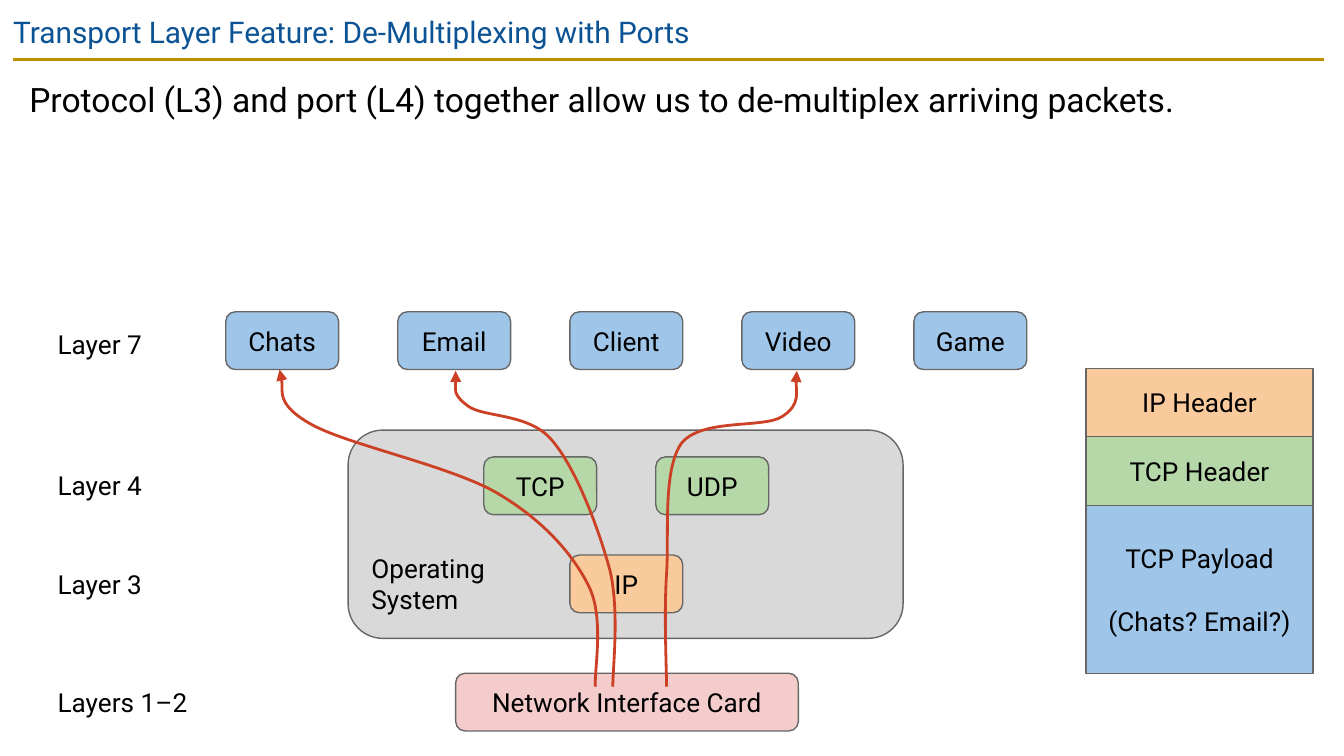
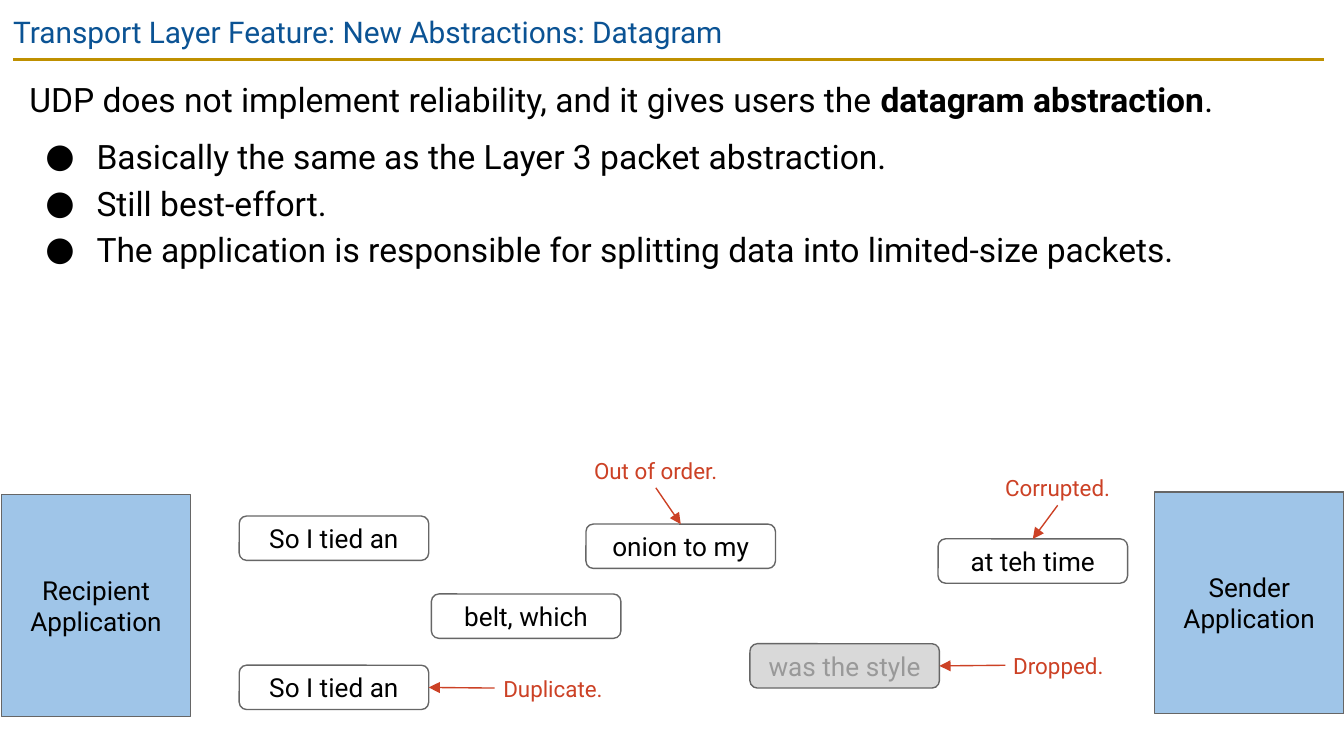
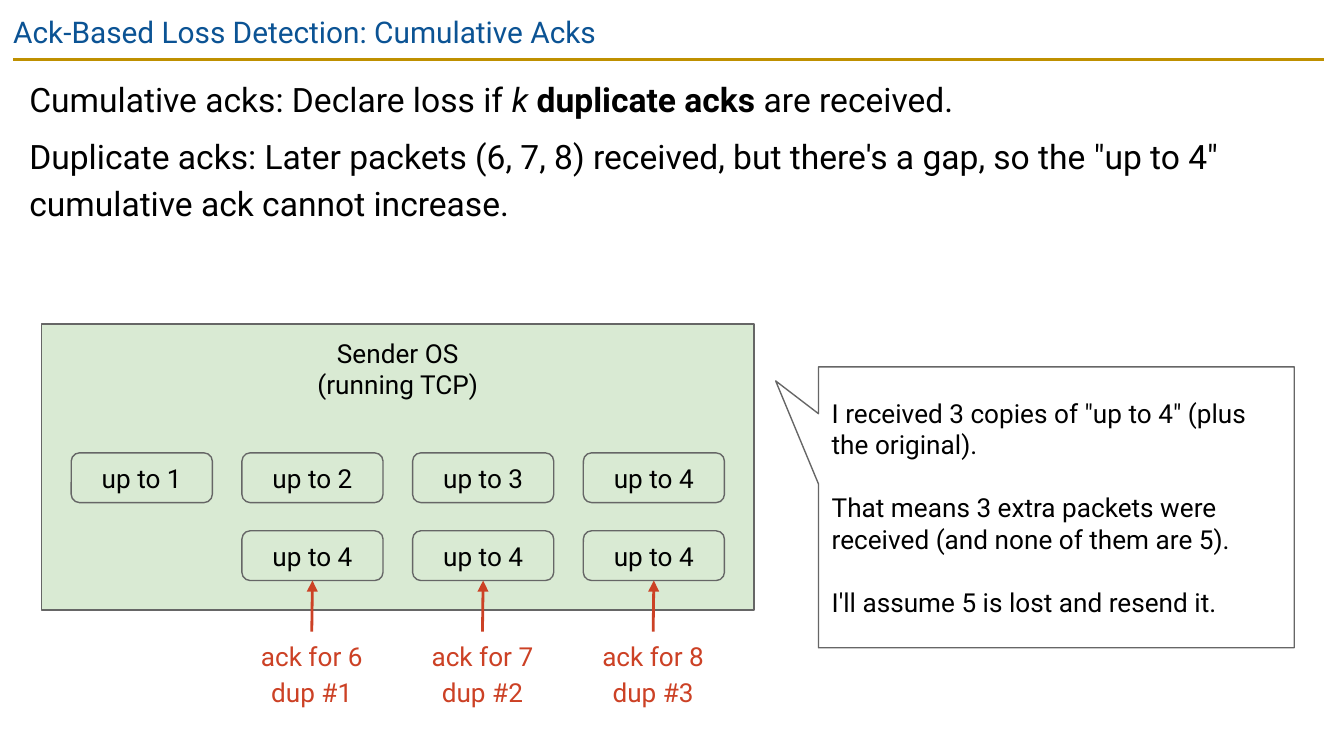
import pptx
import pptx.dml.color
import pptx.enum.shapes
import pptx.enum.text
import pptx.oxml.ns
import pptx.util
from lxml import etree

Inches = pptx.util.Inches
Pt = pptx.util.Pt
RGBColor = pptx.dml.color.RGBColor
SHAPE = pptx.enum.shapes.MSO_SHAPE
STRAIGHT = pptx.enum.shapes.MSO_CONNECTOR.STRAIGHT
ALIGN = pptx.enum.text.PP_ALIGN
ANCHOR = pptx.enum.text.MSO_ANCHOR
qn = pptx.oxml.ns.qn

FONT = "Roboto"
BLACK = RGBColor(0x00, 0x00, 0x00)
TITLE_BLUE = RGBColor(0x0B, 0x53, 0x94)
GOLD = RGBColor(0xBF, 0x90, 0x00)
RED = RGBColor(0xCC, 0x41, 0x25)
OUTLINE = RGBColor(0x66, 0x66, 0x66)
GRAY = RGBColor(0xD9, 0xD9, 0xD9)
FADED = RGBColor(0x99, 0x99, 0x99)
BLUE = RGBColor(0x9F, 0xC5, 0xE8)
GREEN = RGBColor(0xB6, 0xD7, 0xA8)
PALE_GREEN = RGBColor(0xD9, 0xEA, 0xD3)
ORANGE = RGBColor(0xF9, 0xCB, 0x9C)
PINK = RGBColor(0xF4, 0xCC, 0xCC)
TOP, LEFT, BOTTOM, RIGHT = range(4)


def add_box(slide, preset, box, text, fill=None, size=14, color=BLACK,
            align=ALIGN.CENTER, anchor=ANCHOR.MIDDLE, inset=0.1):
    """Add a preset shape with text, or a plain text box if preset is None."""
    place = [Inches(length) for length in box]
    if preset is None:
        shape = slide.shapes.add_textbox(*place)
    else:
        shape = slide.shapes.add_shape(preset, *place)
        shape.shadow.inherit = False
        shape.line.color.rgb = OUTLINE
        shape.line.width = Pt(0.75)
        if fill is None:
            shape.fill.background()
        else:
            shape.fill.solid()
            shape.fill.fore_color.rgb = fill
    frame = shape.text_frame
    frame.word_wrap = True
    frame.vertical_anchor = anchor
    frame.margin_left = frame.margin_right = Inches(inset)
    frame.margin_top = frame.margin_bottom = Inches(inset)
    frame.text = text
    for paragraph in frame.paragraphs:
        paragraph.alignment = align
        paragraph.font.name = FONT
        paragraph.font.size = Pt(size)
        paragraph.font.color.rgb = color
    return shape


def style_line(stroke, color, width, arrow=True):
    stroke.line.color.rgb = color
    stroke.line.width = Pt(width)
    properties = stroke.element.spPr
    if arrow:
        etree.SubElement(properties.find(qn("a:ln")), qn("a:tailEnd"), type="triangle")
    etree.SubElement(properties, qn("a:effectLst"))


presentation = pptx.Presentation()
presentation.slide_width = Inches(10)
presentation.slide_height = Inches(10) * 9 // 16

# Title, body height, statements and bullets; each run is its text and its style.
contents = [
    ("Transport Layer Feature: De-Multiplexing with Ports", 1.35,
     [[("Protocol (L3) and port (L4) together allow us to de-multiplex arriving packets.", "")]],
     []),
    ("Transport Layer Feature: New Abstractions: Datagram", 3.21,
     [[("UDP does not implement reliability, and it gives users the ", ""),
       ("datagram abstraction", "bold"), (".", "")]],
     [[("Basically the same as the Layer 3 packet abstraction.", "")],
      [("Still best-effort.", "")],
      [("The application is responsible for splitting data into limited-size packets.", "")]]),
    ("Ack-Based Loss Detection: Cumulative Acks", 1.87,
     [[("Cumulative acks: Declare loss if ", ""), ("k ", "italic"),
       ("duplicate acks", "bold"), (" are received.", "")],
      [("Duplicate acks: Later packets (6, 7, 8) received, but there's a gap, "
        "so the \"up to 4\" cumulative ack cannot increase.", "")]],
     []),
]

for title, body_height, statements, bullets in contents:
    slide = presentation.slides.add_slide(presentation.slide_layouts[6])
    rule = slide.shapes.add_connector(STRAIGHT, Inches(0.1), Inches(0.44), Inches(9.85), Inches(0.44))
    style_line(rule, GOLD, 1.5, arrow=False)
    add_box(slide, None, (0, 0, 9.32, 0.43), title, size=16, color=TITLE_BLUE,
            align=ALIGN.LEFT, anchor=ANCHOR.TOP)
    body = add_box(slide, None, (0.12, 0.44, 9.74, body_height), "",
                   align=ALIGN.LEFT, anchor=ANCHOR.TOP).text_frame
    for index, runs in enumerate(statements + bullets):
        paragraph = body.add_paragraph() if index else body.paragraphs[0]
        if index >= len(statements):
            properties = paragraph._p.get_or_add_pPr()
            properties.set("marL", str(Inches(0.5)))
            properties.set("indent", str(Inches(-0.38)))
            etree.SubElement(properties, qn("a:buFont"), typeface=FONT)
            etree.SubElement(properties, qn("a:buChar"), char="●")
        paragraph.line_spacing = 1.15
        paragraph.space_before = Pt(6 if index <= len(statements) else 0)
        paragraph.font.name = FONT
        paragraph.font.size = Pt(18)
        paragraph.font.color.rgb = BLACK
        for text, style in runs:
            run = paragraph.add_run()
            run.text = text
            if style == "bold":
                run.font.bold = True
            elif style == "italic":
                run.font.italic = True

demultiplexing, datagram, cumulative_acks = presentation.slides

# Slide 1: the network stack, the paths through it and the packet
add_box(demultiplexing, SHAPE.ROUNDED_RECTANGLE, (2.59, 3.2, 4.13, 1.55), "Operating\nSystem",
        GRAY, align=ALIGN.LEFT, anchor=ANCHOR.BOTTOM)
add_box(demultiplexing, SHAPE.ROUNDED_RECTANGLE, (3.39, 5.01, 2.55, 0.43),
        "Network Interface Card", PINK)

stack = [
    (2.32, 1.68, BLUE, ["Chats", "Email", "Client", "Video", "Game"]),
    (3.4, 3.6, GREEN, ["TCP", "UDP"]),
    (4.13, 4.24, ORANGE, ["IP"]),
]
for top, left, fill, names in stack:
    for column, name in enumerate(names):
        add_box(demultiplexing, SHAPE.ROUNDED_RECTANGLE,
                (left + 1.28 * column, top, 0.84, 0.43), name, fill)

for layer, top in [("Layer 7", 2.34), ("Layer 4", 3.39), ("Layer 3", 4.13), ("Layers 1–2", 5.01)]:
    add_box(demultiplexing, None, (0.33, top, 1.18, 0.44), layer,
            align=ALIGN.LEFT, anchor=ANCHOR.TOP)

# Each route is a start point followed by three Bézier points per curve.
routes = [
    [(4.43, 5.11), (4.42, 4.99), (4.5, 4.6), (4.38, 4.36), (4.26, 4.12), (4.04, 3.87), (3.7, 3.67),
     (3.36, 3.47), (2.59, 3.31), (2.32, 3.16), (2.05, 3.01), (2.12, 2.82), (2.08, 2.75)],
    [(4.56, 5.11), (4.56, 4.96), (4.61, 4.56), (4.54, 4.25), (4.46, 3.95), (4.29, 3.49), (4.11, 3.28),
     (3.94, 3.07), (3.6, 3.11), (3.48, 3.02), (3.36, 2.93), (3.4, 2.8), (3.39, 2.76)],
    [(4.96, 5.11), (4.96, 4.97), (4.94, 4.57), (4.96, 4.27), (4.98, 3.97), (4.93, 3.5), (5.07, 3.3),
     (5.22, 3.11), (5.68, 3.19), (5.82, 3.1), (5.96, 3.01), (5.91, 2.82), (5.93, 2.76)],
]
for route in routes:
    start, *points = [(Inches(x), Inches(y)) for x, y in route]
    builder = demultiplexing.shapes.build_freeform(*start)
    builder.add_line_segments(points, close=False)
    packet_route = builder.convert_to_shape()
    packet_route.fill.background()
    style_line(packet_route, RED, 1.5)
    segments = list(packet_route.element.iter(qn("a:lnTo")))
    outline = segments[0].getparent()
    for first in range(0, len(segments), 3):
        curve = etree.SubElement(outline, qn("a:cubicBezTo"))
        for segment in segments[first:first + 3]:
            curve.append(segment[0])
            outline.remove(segment)

top = 2.74
for part, height, fill in [("IP Header", 0.51, ORANGE), ("TCP Header", 0.51, GREEN),
                           ("TCP Payload\n(Chats? Email?)", 1.25, BLUE)]:
    header = add_box(demultiplexing, SHAPE.RECTANGLE, (8.08, top, 1.69, height), part, fill)
    for paragraph in header.text_frame.paragraphs[1:]:
        paragraph.space_before = Pt(17)
    top += height

# Slide 2: datagrams on their way, with what went wrong
for left, top, role in [(0.01, 3.68, "Recipient"), (8.59, 3.66, "Sender")]:
    add_box(datagram, SHAPE.RECTANGLE, (left, top, 1.41, 1.65), role + "\nApplication", BLUE)

# Packet place and text, then the fault: text, left, top, width, sides joined.
packets = [
    (1.78, 3.84, "So I tied an", None),
    (4.36, 3.9, "onion to my", ("Out of order.", 4.36, 3.37, 1.04, BOTTOM, TOP)),
    (3.21, 4.42, "belt, which", None),
    (5.58, 4.79, "was the style", ("Dropped.", 7.48, 4.82, 0.79, LEFT, RIGHT)),
    (6.98, 4.01, "at teh time", ("Corrupted.", 7.35, 3.5, 1.04, BOTTOM, TOP)),
    (1.78, 4.95, "So I tied an", ("Duplicate.", 3.68, 4.99, 0.87, LEFT, RIGHT)),
]
for left, top, words, fault in packets:
    dropped = fault is not None and fault[0] == "Dropped."
    packet = add_box(datagram, SHAPE.ROUNDED_RECTANGLE, (left, top, 1.41, 0.33), words,
                     GRAY if dropped else None, color=FADED if dropped else BLACK)
    if fault:
        name, left, top, width, label_side, packet_side = fault
        label = add_box(datagram, None, (left, top, width, 0.26), name, size=12, color=RED,
                        anchor=ANCHOR.TOP, inset=0.03)
        pointer = datagram.shapes.add_connector(STRAIGHT, 0, 0, 0, 0)
        pointer.begin_connect(label, label_side)
        pointer.end_connect(packet, packet_side)
        style_line(pointer, RED, 0.75)

# Slide 3: acks seen by the sender, and its conclusion
add_box(cumulative_acks, SHAPE.RECTANGLE, (0.31, 2.41, 5.3, 2.13), "Sender OS\v(running TCP)",
        PALE_GREEN, anchor=ANCHOR.TOP)

ACK_WIDTH = 1.05
ack_gap = (5.3 - 4 * ACK_WIDTH) / 5
for column in range(4):
    left = 0.31 + ack_gap + column * (ACK_WIDTH + ack_gap)
    add_box(cumulative_acks, SHAPE.ROUNDED_RECTANGLE, (left, 3.37, ACK_WIDTH, 0.37),
            f"up to {column + 1}")
    if column:
        duplicate = add_box(cumulative_acks, SHAPE.ROUNDED_RECTANGLE,
                            (left, 3.95, ACK_WIDTH, 0.37), "up to 4")
        cause = add_box(cumulative_acks, None, (left + 0.11, 4.7, 0.82, 0.57),
                        f"ack for {column + 5}\vdup #{column}", color=RED,
                        anchor=ANCHOR.TOP, inset=0.03)
        cause.text_frame.paragraphs[0].line_spacing = 1.15
        cause.text_frame.paragraphs[0].space_before = Pt(6)
        pointer = cumulative_acks.shapes.add_connector(STRAIGHT, 0, 0, 0, 0)
        pointer.begin_connect(cause, TOP)
        pointer.end_connect(duplicate, BOTTOM)
        style_line(pointer, RED, 1.5)

conclusion = add_box(
    cumulative_acks, SHAPE.ROUNDED_RECTANGULAR_CALLOUT, (6.09, 2.73, 3.54, 2.09),
    "I received 3 copies of \"up to 4\" (plus the original).\n"
    "That means 3 extra packets were received (and none of them are 5).\n"
    "I'll assume 5 is lost and resend it.", align=ALIGN.LEFT)
for index, value in enumerate([-0.59, -0.45, 0]):
    conclusion.adjustments[index] = value
for paragraph in conclusion.text_frame.paragraphs[1:]:
    paragraph.space_before = Pt(17)

presentation.save("out.pptx")
